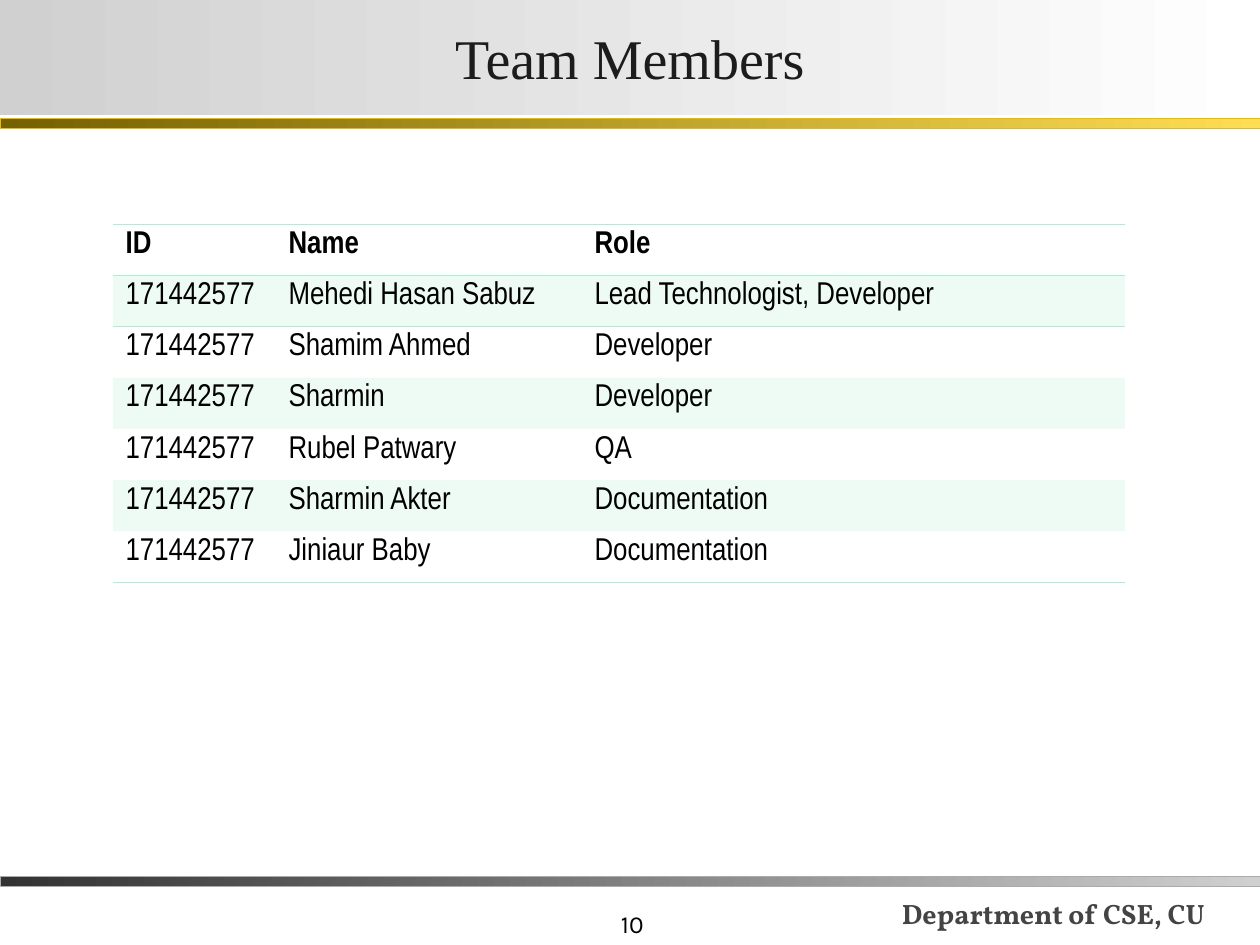
"""Build the Team Members slide: title band, member table and department footer."""
from lxml.etree import SubElement
from pptx import Presentation
from pptx.dml.color import RGBColor as RGB
from pptx.enum.shapes import MSO_SHAPE as SHAPE
from pptx.enum.text import MSO_ANCHOR as ANCHOR, MSO_AUTO_SIZE as AUTOSIZE, PP_ALIGN as ALIGN
from pptx.oxml import parse_xml
from pptx.oxml.ns import nsdecls, qn
from pptx.util import Inches, Pt

PX = Inches(1) / 126
COLORS = {
    "black": "000000", "title": "1C1C1C", "footer": "444444",
    "silver": "D0D0D0", "white": "FFFFFF", "charcoal": "333333", "gray": "ABABAB",
    "bronze": "766000", "yellow": "FFDE53", "gold": "E8BC00", "mint": "AAEFD1",
}


def px(*lengths):
    return [round(length * PX) for length in lengths]


def write(frame, text, font, size, color="black", bold=False, align=ALIGN.LEFT):
    paragraph = frame.paragraphs[0]
    paragraph.alignment = align
    run = paragraph.add_run()
    run.text = text
    run.font.name, run.font.size, run.font.bold = font, Pt(size), bold
    run.font.color.rgb = RGB.from_string(COLORS[color])


prs = Presentation()
prs.slide_width, prs.slide_height = px(1260, 945)
slide = prs.slides.add_slide(prs.slide_layouts[5])

footers = [
    ((394, 882, 262, 63), "10", dict(font="Karla", size=14, align=ALIGN.RIGHT)),
    ((837, 857, 433, 79), "Department of CSE, CU",
     dict(font="Vollkorn", size=16, color="footer", bold=True, align=ALIGN.CENTER)),
]
for place, text, style in footers:
    footer = slide.shapes.add_textbox(*px(*place)).text_frame
    footer.word_wrap = True
    footer.vertical_anchor = ANCHOR.BOTTOM
    write(footer, text, **style)

title = slide.shapes.title
title.left, title.top, title.width, title.height = px(0, 0, 1260, 115)
heading = title.text_frame
heading.auto_size = AUTOSIZE.NONE
heading.vertical_anchor = ANCHOR.MIDDLE
heading.margin_left = heading.margin_right = Inches(0.02)
heading.margin_top = heading.margin_bottom = Inches(0.01)
write(heading, "Team Members", "Times New Roman", 32, "title", align=ALIGN.CENTER)

bands = [(title, "silver", "white")]
for top, start, end, edge in [(876, "charcoal", "silver", "gray"), (118, "bronze", "yellow", "gold")]:
    rule = slide.shapes.add_shape(SHAPE.RECTANGLE, *px(0, top, 1260, 10))
    rule.shadow.inherit = False
    rule.line.color.rgb = RGB.from_string(COLORS[edge])
    rule.line.width = Pt(0.25)
    bands.append((rule, start, end))
for band, *ends in bands:
    band.fill.gradient()
    band.fill.gradient_angle = 0
    for stop, color in zip(band.fill.gradient_stops, ends):
        stop.color.rgb = RGB.from_string(COLORS[color])

members = [
    ("ID", "Name", "Role"),
    ("171442577", "Mehedi Hasan Sabuz", "Lead Technologist, Developer"),
    ("171442577", "Shamim Ahmed", "Developer"),
    ("171442577", "Sharmin", "Developer"),
    ("171442577", "Rubel Patwary", "QA"),
    ("171442577", "Sharmin Akter", "Documentation"),
    ("171442577", "Jiniaur Baby", "Documentation"),
]
last = len(members) - 1
team = slide.shapes.add_table(len(members), 3, *px(113, 224, 1012, 359)).table
team.horz_banding = False
team._tbl.tblPr.find(qn("a:tableStyleId")).text = "{2D5ABB26-0587-4C30-8999-92F81FD0307C}"
for column, width in zip(team.columns, px(163, 306, 543)):
    column.width = width

for r, member in enumerate(members):
    edges = [side for side, rows in (("T", (0, 1)), ("B", (0, last))) if r in rows]
    for c, text in enumerate(member):
        cell = team.cell(r, c)
        write(cell.text_frame, text, "Arial Narrow", 18, bold=r == 0)
        tcPr = cell._tc.get_or_add_tcPr()
        for side in edges:
            tcPr.append(parse_xml(
                f'<a:ln{side} {nsdecls("a")} w="5715"><a:solidFill>'
                f'<a:srgbClr val="{COLORS["mint"]}"/></a:solidFill></a:ln{side}>'))
        if r % 2:
            cell.fill.solid()
            cell.fill.fore_color.rgb = RGB.from_string(COLORS["mint"])
            tint = tcPr.find(qn("a:solidFill")).find(qn("a:srgbClr"))
            SubElement(tint, qn("a:alpha"), val="20000")
        else:
            cell.fill.background()

prs.save("out.pptx")
